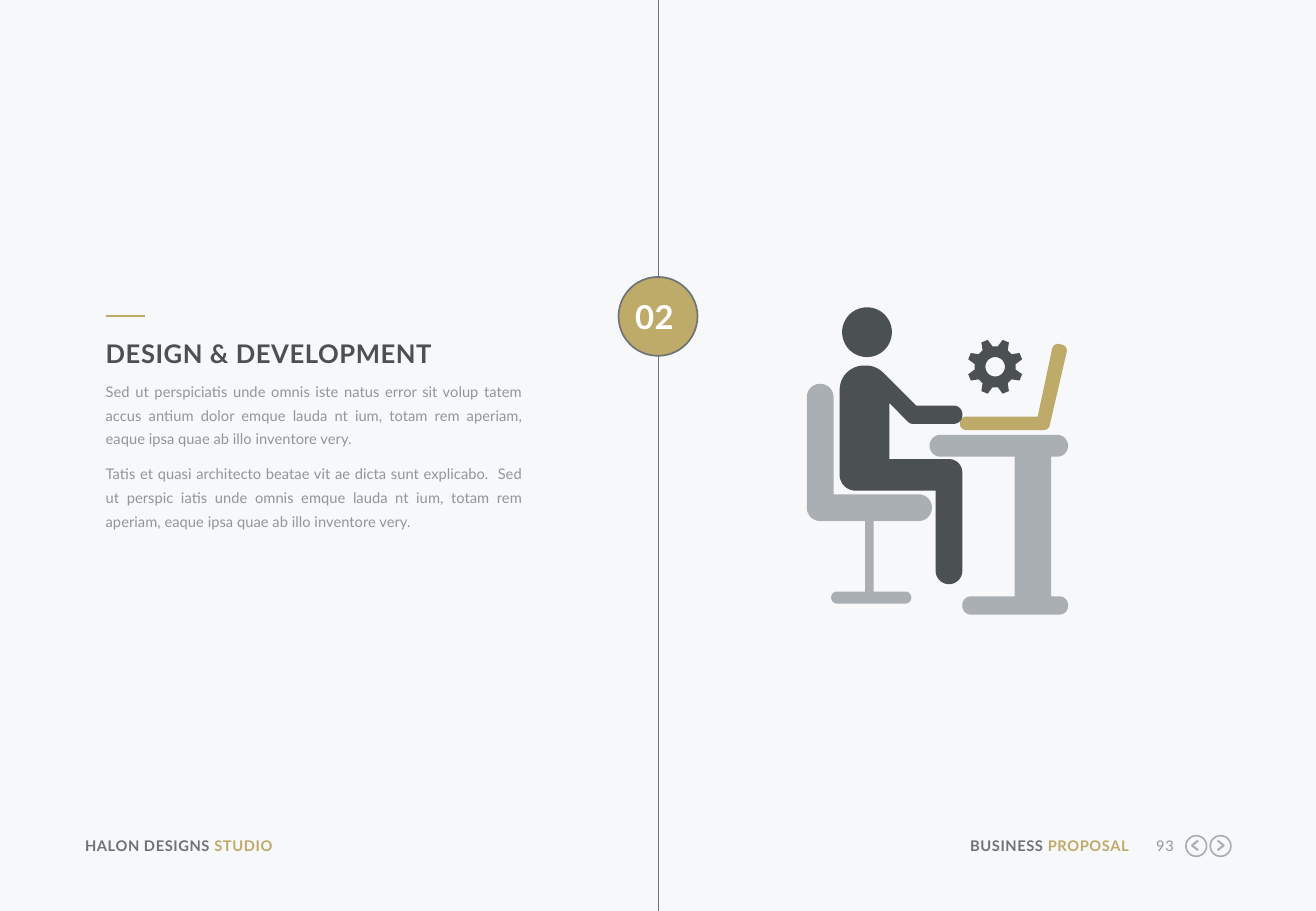
from dataclasses import dataclass, field
from math import acos, atan2, cos, hypot, pi, radians, remainder, sin, tan

from lxml.etree import SubElement
from pptx import Presentation
from pptx.dml.color import RGBColor
from pptx.enum.shapes import MSO_CONNECTOR as Connector, MSO_SHAPE as Shape
from pptx.enum.text import PP_ALIGN as Align
from pptx.oxml.ns import qn
from pptx.util import Inches, Pt

Point = tuple[float, float]
Corner = tuple[float, float, float]
Box = tuple[float, float, float, float]

COLORS = {
    "background": "F6F8FA",
    "gold": "BEAA69",
    "slate": "6E7378",
    "silver": "AAAFB4",
    "dark": "4B5050",
    "gray": "91969B",
    "white": "FFFFFF",
}
ARC_STEPS = 12
SPINE_X = 5.42
GEAR_CENTER = (8.19, 3.02)


@dataclass
class Rule:
    start: Point
    end: Point
    color: str
    weight: float


@dataclass
class Disc:
    box: Box
    fill: str | None = None
    line: str | None = None


@dataclass
class Outline:
    corners: list[Corner]
    fill: str


@dataclass
class Label:
    box: Box
    paragraphs: list[list[tuple[str, str]]]
    layout: dict = field(default_factory=dict)
    size: float = 8.7
    bold: bool = False
    tracking: int = 30


RULES = [
    Rule((SPINE_X, 2.93), (SPINE_X, 7.5), "slate", 1),
    Rule((SPINE_X, 0), (SPINE_X, 2.28), "slate", 1),
    Rule((0.87, 2.6), (1.19, 2.6), "gold", 1.5),
]
DISCS = [
    Disc((5.09, 2.28, 0.65, 0.65), "gold", "slate"),
    Disc((6.93, 2.53, 0.41, 0.41), "dark"),
]
DESK = Outline([
    (7.65, 3.58, 0.09), (8.79, 3.58, 0.09), (8.79, 3.76, 0.09), (8.65, 3.76, 0),
    (8.65, 4.91, 0), (8.79, 4.91, 0.07), (8.79, 5.06, 0.07), (7.92, 5.06, 0.07),
    (7.92, 4.91, 0.07), (8.35, 4.91, 0), (8.35, 3.76, 0), (7.65, 3.76, 0.09),
], "silver")
LAPTOP = Outline([
    (7.9, 3.43, 0.05), (8.54, 3.43, 0), (8.67, 2.82, 0.05),
    (8.79, 2.85, 0.05), (8.63, 3.54, 0.05), (7.9, 3.54, 0.05),
], "gold")
PERSON = Outline([
    (6.91, 3.01, 0.2), (7.21, 3.01, 0.2), (7.54, 3.34, 0), (7.92, 3.34, 0.07),
    (7.92, 3.49, 0.07), (7.49, 3.49, 0.05), (7.32, 3.32, 0), (7.32, 3.78, 0),
    (7.92, 3.78, 0.11), (7.92, 4.81, 0.11), (7.7, 4.81, 0.11), (7.7, 4.04, 0),
    (6.91, 4.04, 0.13),
], "dark")
CHAIR = Outline([
    (6.64, 3.16, 0.11), (6.86, 3.16, 0.11), (6.86, 4.07, 0), (7.67, 4.07, 0.11),
    (7.67, 4.29, 0.11), (7.19, 4.29, 0), (7.19, 4.87, 0), (7.5, 4.87, 0.05),
    (7.5, 4.97, 0.05), (6.84, 4.97, 0.05), (6.84, 4.87, 0.05), (7.12, 4.87, 0),
    (7.12, 4.29, 0), (6.64, 4.29, 0.11),
], "silver")
BODY_LAYOUT = {"alignment": Align.JUSTIFY, "line_spacing": Pt(14.1), "space_after": Pt(6.5)}
LABELS = [
    Label((0.7, 6.89, 2.11, 0.15),
          [[("HALON DESIGNS ", "slate"), ("STUDIO", "gold")]], bold=True),
    Label((7.92, 6.89, 1.37, 0.15),
          [[("BUSINESS ", "slate"), ("PROPOSAL", "gold")]],
          {"alignment": Align.RIGHT}, bold=True),
    Label((9.41, 6.89, 0.25, 0.15), [[("93", "gray")]], {"alignment": Align.RIGHT}),
    Label((5.19, 2.44, 0.39, 0.33), [[("02", "white")]],
          {"alignment": Align.CENTER}, 19.5, True, 20),
    Label((0.87, 3.1, 3.43, 1.28), [
        [("Sed ut perspiciatis unde omnis iste natus error sit volup tatem accus antium "
          "dolor emque lauda nt ium, totam rem aperiam, eaque ipsa quae ab illo "
          "inventore very.", "gray")],
        [("Tatis et quasi architecto beatae vit ae dicta sunt explicabo.  Sed ut perspic "
          "iatis unde omnis emque lauda nt ium, totam rem aperiam, eaque ipsa quae ab "
          "illo inventore very.", "gray")],
    ], BODY_LAYOUT, tracking=0),
    Label((0.87, 2.78, 3.44, 0.25), [[("DESIGN & DEVELOPMENT", "dark")]],
          {"line_spacing": Pt(18.4), "space_after": Pt(6.5)}, 15.2, True),
]


def color(name: str) -> RGBColor:
    return RGBColor.from_string(COLORS[name])


def paint(shape, fill: str | None, line: str | None = None, weight: float = 1) -> None:
    shape.shadow.inherit = False
    if fill:
        shape.fill.solid()
        shape.fill.fore_color.rgb = color(fill)
    else:
        shape.fill.background()
    if line:
        shape.line.color.rgb = color(line)
        shape.line.width = Pt(weight)
    else:
        shape.line.fill.background()


def polar(center: Point, radius: float, angle: float) -> Point:
    return center[0] + radius * cos(angle), center[1] + radius * sin(angle)


def round_corners(corners: list[Corner]) -> list[Point]:
    points = []
    for index, (x, y, radius) in enumerate(corners):
        if not radius:
            points.append((x, y))
            continue
        sides = []
        for neighbour in (corners[index - 1], corners[(index + 1) % len(corners)]):
            dx, dy = neighbour[0] - x, neighbour[1] - y
            length = hypot(dx, dy)
            sides.append((dx / length, dy / length))
        (ux, uy), (vx, vy) = sides
        half = acos(ux * vx + uy * vy) / 2
        reach = radius / tan(half)
        middle = hypot(ux + vx, uy + vy)
        offset = radius / sin(half) / middle
        center = (x + (ux + vx) * offset, y + (uy + vy) * offset)
        first = atan2(y + uy * reach - center[1], x + ux * reach - center[0])
        last = atan2(y + vy * reach - center[1], x + vx * reach - center[0])
        sweep = remainder(last - first, 2 * pi)
        points += [polar(center, radius, first + sweep * step / ARC_STEPS)
                   for step in range(ARC_STEPS + 1)]
    return points


def gear_contours() -> list[list[Point]]:
    teeth = [
        polar(GEAR_CENTER, radius, radians(45 * tooth + 22.5 + offset))
        for tooth in range(8)
        for radius, offset in ((0.17, -15), (0.23, -7), (0.23, 7), (0.17, 15))
    ]
    hole = [polar(GEAR_CENTER, 0.08, radians(angle)) for angle in range(0, 360, 10)]
    return [teeth, hole]


def draw_contours(slide, contours: list[list[Point]], closed: bool = True):
    scaled = [[(Inches(x), Inches(y)) for x, y in contour] for contour in contours]
    builder = slide.shapes.build_freeform(*scaled[0][0])
    for index, contour in enumerate(scaled):
        if index:
            builder.move_to(*contour[0])
        builder.add_line_segments(contour[1:], close=closed)
    return builder.convert_to_shape()


def draw_outline(slide, outline: Outline) -> None:
    paint(draw_contours(slide, [round_corners(outline.corners)]), outline.fill)


def draw_disc(slide, disc: Disc) -> None:
    shape = slide.shapes.add_shape(Shape.OVAL, *map(Inches, disc.box))
    paint(shape, disc.fill, disc.line)


def draw_rule(slide, rule: Rule) -> None:
    ends = map(Inches, (*rule.start, *rule.end))
    connector = slide.shapes.add_connector(Connector.STRAIGHT, *ends)
    connector.line.color.rgb = color(rule.color)
    connector.line.width = Pt(rule.weight)
    SubElement(connector._element.spPr, qn("a:effectLst"))


def draw_arrow_button(slide, center_x: float, direction: int) -> None:
    center_y = 6.96
    draw_disc(slide, Disc((center_x - 0.08, center_y - 0.08, 0.17, 0.17), line="silver"))
    tail, tip = center_x - 0.02 * direction, center_x + 0.03 * direction
    chevron = [(tail, center_y - 0.04), (tip, center_y), (tail, center_y + 0.04)]
    paint(draw_contours(slide, [chevron], closed=False), None, "silver", 1.25)


def draw_label(slide, label: Label) -> None:
    frame = slide.shapes.add_textbox(*map(Inches, label.box)).text_frame
    frame_format = {"word_wrap": True, "margin_left": 0, "margin_top": 0,
                    "margin_right": 0, "margin_bottom": 0}
    for name, value in frame_format.items():
        setattr(frame, name, value)
    font_format = {"name": "Lato", "size": Pt(label.size), "bold": label.bold}
    for index, runs in enumerate(label.paragraphs):
        paragraph = frame.add_paragraph() if index else frame.paragraphs[0]
        for name, value in label.layout.items():
            setattr(paragraph, name, value)
        for text, color_name in runs:
            run = paragraph.add_run()
            run.text = text
            for name, value in font_format.items():
                setattr(run.font, name, value)
            run.font.color.rgb = color(color_name)
            if label.tracking:
                run.font._element.set("spc", str(label.tracking))


def main() -> None:
    presentation = Presentation()
    presentation.slide_width, presentation.slide_height = Inches(10.83), Inches(7.5)
    slide = presentation.slides.add_slide(presentation.slide_layouts[6])
    slide.background.fill.solid()
    slide.background.fill.fore_color.rgb = color("background")
    for rule in RULES:
        draw_rule(slide, rule)
    for outline in (DESK, LAPTOP, PERSON, CHAIR):
        draw_outline(slide, outline)
    for disc in DISCS:
        draw_disc(slide, disc)
    paint(draw_contours(slide, gear_contours()), "dark")
    for center_x, direction in ((9.84, -1), (10.04, 1)):
        draw_arrow_button(slide, center_x, direction)
    for label in LABELS:
        draw_label(slide, label)
    presentation.save("out.pptx")


if __name__ == "__main__":
    main()
